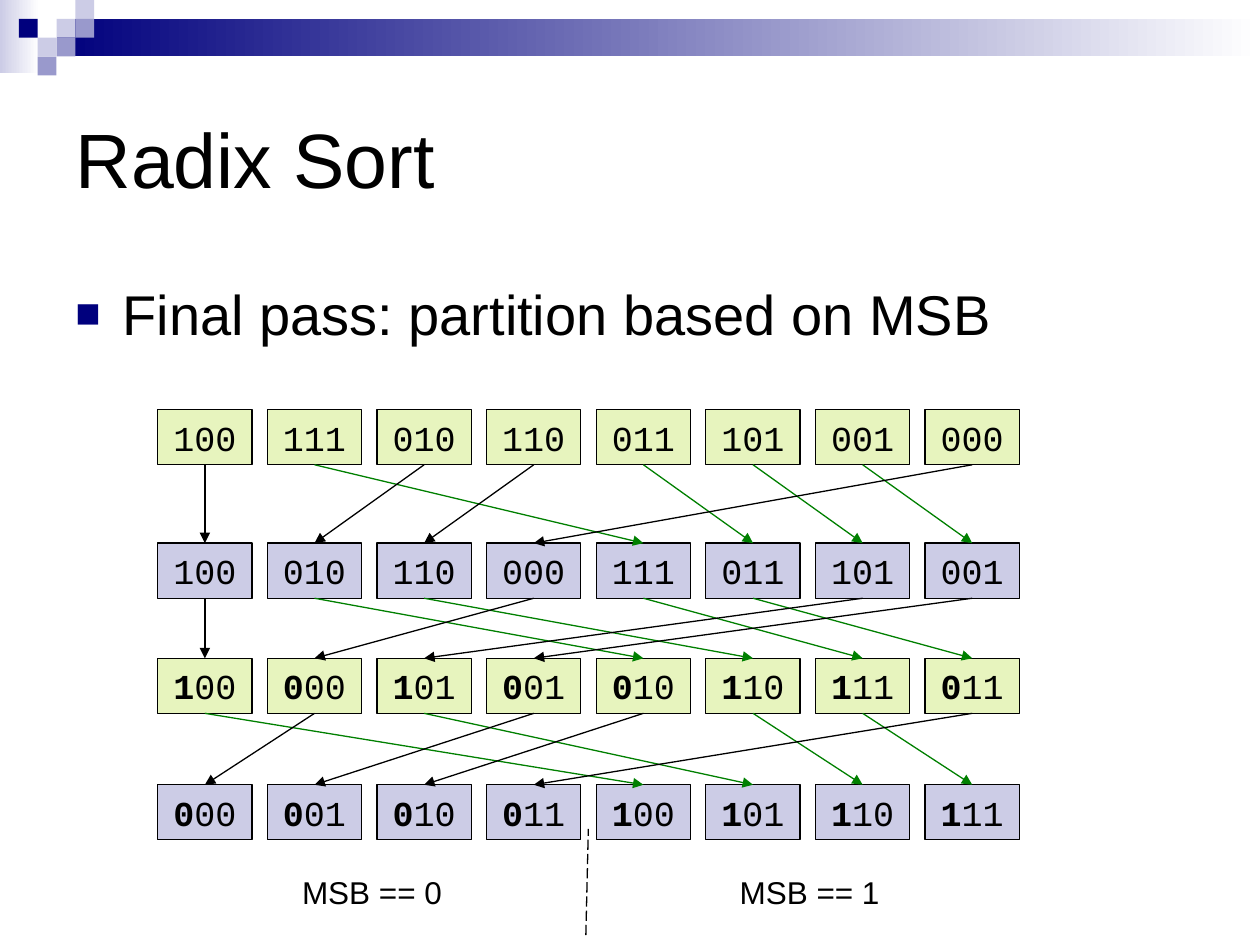
import dataclasses

import lxml.etree
import pptx
import pptx.dml.color
import pptx.enum.dml
import pptx.enum.shapes
import pptx.enum.text
import pptx.oxml.ns
import pptx.util

Cm = pptx.util.Cm
Pt = pptx.util.Pt


@dataclasses.dataclass(frozen=True)
class Theme:
    black: str = "000000"
    white: str = "FFFFFF"
    green: str = "008000"
    navy: str = "00007D"
    violet: str = "9999CC"
    lavender: str = "CCCCE6"
    lime: str = "E7F4BE"
    sans: str = "Arial"
    mono: str = "Courier New"
    title: int = 44
    body: int = 32
    key: int = 20
    label: int = 18
    line: float = 0.75


THEME = Theme()
LEFT, PITCH, BOX_W, BOX_H = 3.18, 2.21, 1.9, 1.11
PASSES = [
    (8.26, "100 111 010 110 011 101 001 000", THEME.lime, False),
    (10.95, "100 010 110 000 111 011 101 001", THEME.lavender, False),
    (13.27, "100 000 101 001 010 110 111 011", THEME.lime, True),
    (15.82, "000 001 010 011 100 101 110 111", THEME.lavender, True),
]


def rgb(color):
    return pptx.dml.color.RGBColor.from_string(color)


def add_xml(parent, tag, **attrs):
    return lxml.etree.SubElement(parent, pptx.oxml.ns.qn(tag), attrs)


def format_run(r, size, font=THEME.sans, bold=False):
    r.font.size = Pt(size)
    r.font.name = font
    r.font.bold = bold
    r.font.color.rgb = rgb(THEME.black)


def add_rect(s, x, y, w, h, *colors):
    sp = s.shapes.add_shape(pptx.enum.shapes.MSO_SHAPE.RECTANGLE, Cm(x), Cm(y), Cm(w), Cm(h))
    sp.shadow.inherit = False
    sp.line.fill.background()
    if len(colors) == 1:
        sp.fill.solid()
        sp.fill.fore_color.rgb = rgb(colors[0])
    else:
        sp.fill.gradient()
        sp.fill.gradient_angle = 0
        for stop, color in zip(sp.fill.gradient_stops, colors):
            stop.color.rgb = rgb(color)
    return sp


def add_banner(s):
    add_rect(s, 0, 0, 0.79, 1.47, THEME.lavender, THEME.white)
    add_rect(s, 1.14, 0.38, 24.26, 0.76, THEME.navy, THEME.white)
    side = 0.38
    tiles = [(3, 1, THEME.lavender), (4, 0, THEME.lavender), (4, 1, THEME.violet),
             (2, 2, THEME.lavender), (1, 1, THEME.navy), (3, 2, THEME.violet),
             (2, 3, THEME.violet)]
    for col, row, color in tiles:
        add_rect(s, col * side, row * side, side, side, color)


def set_title(s, text):
    sp = s.shapes.title
    sp.left, sp.top, sp.width, sp.height = Cm(1.27), Cm(1.27), Cm(22.86), Cm(3.81)
    tf = sp.text_frame
    tf.text = text
    tf.vertical_anchor = pptx.enum.text.MSO_ANCHOR.MIDDLE
    p = tf.paragraphs[0]
    p.alignment = pptx.enum.text.PP_ALIGN.LEFT
    format_run(p.runs[0], THEME.title)


def add_text(s, text, x, y, w, h, size, wrap):
    tf = s.shapes.add_textbox(Cm(x), Cm(y), Cm(w), Cm(h)).text_frame
    tf.word_wrap = wrap
    tf.text = text
    p = tf.paragraphs[0]
    format_run(p.runs[0], size)
    return p


def add_bullet(s, text):
    p = add_text(s, text, 1.27, 5.51, 22.86, 1.9, THEME.body, True)
    p.space_before = Pt(8)
    pPr = p._p.get_or_add_pPr()
    pPr.set("marL", str(Cm(0.95)))
    pPr.set("indent", str(Cm(-0.95)))
    add_xml(add_xml(pPr, "a:buClr"), "a:srgbClr", val=THEME.navy)
    add_xml(pPr, "a:buSzPct", val="75000")
    add_xml(pPr, "a:buFont", typeface=THEME.sans)
    add_xml(pPr, "a:buChar", char="■")


def add_line(s, x1, y1, x2, y2, color):
    c = s.shapes.add_connector(
        pptx.enum.shapes.MSO_CONNECTOR.STRAIGHT, Cm(x1), Cm(y1), Cm(x2), Cm(y2))
    c.line.color.rgb = rgb(color)
    c.line.width = Pt(THEME.line)
    add_xml(c._element.spPr, "a:effectLst")
    return c


def add_key(s, key, x, y, color, mark_msb):
    sp = add_rect(s, x, y, BOX_W, BOX_H, color)
    sp.line.color.rgb = rgb(THEME.black)
    sp.line.width = Pt(THEME.line)
    p = sp.text_frame.paragraphs[0]
    p.alignment = pptx.enum.text.PP_ALIGN.CENTER
    for part, bold in [(key[0], True), (key[1:], False)] if mark_msb else [(key, False)]:
        r = p.add_run()
        r.text = part
        format_run(r, THEME.key, THEME.mono, bold)


def add_moves(s, y1, keys, y2, next_keys):
    center = LEFT + BOX_W / 2
    for i, key in enumerate(keys):
        j = next_keys.index(key)
        color = THEME.black if j < len(keys) / 2 else THEME.green
        c = add_line(s, center + i * PITCH, y1 + BOX_H, center + j * PITCH, y2, color)
        add_xml(c._element.spPr.get_or_add_ln(), "a:tailEnd", type="triangle")


def add_passes(s):
    for y, keys, color, mark_msb in PASSES:
        for i, key in enumerate(keys.split()):
            add_key(s, key, LEFT + i * PITCH, y, color, mark_msb)
    for (y1, keys, *_), (y2, next_keys, *_) in zip(PASSES, PASSES[1:]):
        add_moves(s, y1, keys.split(), y2, next_keys.split())


def add_partition(s):
    c = add_line(s, 11.81, 18.85, 11.86, 16.71, THEME.black)
    c.line.dash_style = pptx.enum.dml.MSO_LINE.LONG_DASH
    for text, x in [("MSB == 0", 5.84), ("MSB == 1", 14.66)]:
        add_text(s, text, x, 17.48, 3.33, 1.02, THEME.label, False)


def main():
    prs = pptx.Presentation()
    prs.slide_width, prs.slide_height = Cm(25.4), Cm(19.05)
    s = prs.slides.add_slide(prs.slide_layouts[5])
    add_banner(s)
    set_title(s, "Radix Sort")
    add_bullet(s, "Final pass: partition based on MSB")
    add_passes(s)
    add_partition(s)
    prs.save("out.pptx")


if __name__ == "__main__":
    main()
